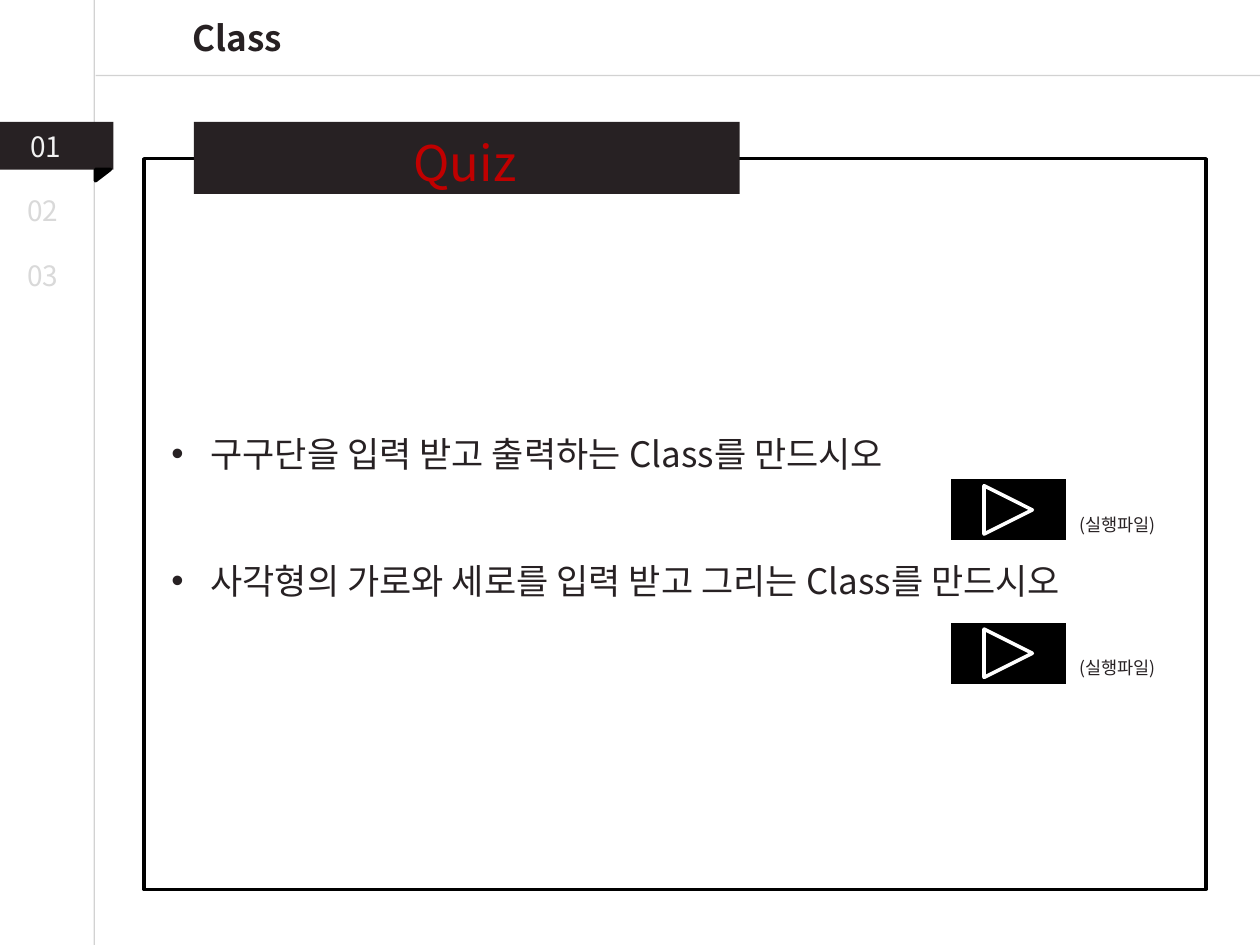
from dataclasses import dataclass

from lxml.etree import SubElement
from pptx import Presentation
from pptx.dml.color import RGBColor
from pptx.enum.shapes import MSO_CONNECTOR, MSO_SHAPE
from pptx.enum.text import MSO_ANCHOR, MSO_AUTO_SIZE, PP_ALIGN
from pptx.oxml.ns import qn
from pptx.util import Cm, Pt

FONT = "Noto Sans CJK KR"
LEADING = 1.28
COLORS = {
    "ink": "272123",
    "black": "000000",
    "white": "FFFFFF",
    "red": "C00000",
    "rule": "A6A6A6",
    "active": "F2F2F2",
    "muted": "D9D9D9",
}


@dataclass
class Area:
    left: float
    top: float
    width: float
    height: float

    def lengths(self) -> tuple:
        return Cm(self.left), Cm(self.top), Cm(self.width), Cm(self.height)


@dataclass
class Style:
    size: float
    color: str
    bold: bool = False
    align: PP_ALIGN = PP_ALIGN.LEFT
    leading: float = LEADING


@dataclass
class Label:
    text: str
    area: Area
    style: Style


def rgb(name: str) -> RGBColor:
    return RGBColor.from_string(COLORS[name])


def place(shape, area: Area) -> None:
    shape.left, shape.top, shape.width, shape.height = area.lengths()


def prepare(frame) -> None:
    frame.word_wrap = True
    frame.auto_size = MSO_AUTO_SIZE.NONE
    frame.vertical_anchor = MSO_ANCHOR.TOP


def write(para, text: str, style: Style) -> None:
    para.alignment = style.align
    para.line_spacing = Pt(style.size * style.leading)
    para.space_before = Pt(0)
    span = para.add_run()
    span.text = text
    font = span.font
    font.name, font.size, font.bold = FONT, Pt(style.size), style.bold
    font.color.rgb = rgb(style.color)
    # East Asian glyphs need their own typeface entry
    SubElement(font._element, qn("a:ea")).set("typeface", FONT)


def add_label(shapes, label: Label) -> None:
    box = shapes.add_textbox(*label.area.lengths())
    prepare(box.text_frame)
    write(box.text_frame.paragraphs[0], label.text, label.style)


def add_block(shapes, kind: MSO_SHAPE, area: Area, fill: str = "", line: str = ""):
    shape = shapes.add_shape(kind, *area.lengths())
    shape.shadow.inherit = False
    if fill:
        shape.fill.solid()
        shape.fill.fore_color.rgb = rgb(fill)
    else:
        shape.fill.background()
    if line:
        shape.line.color.rgb = rgb(line)
        shape.line.width = Pt(2)
    else:
        shape.line.fill.background()
    return shape


def add_rule(shapes, x1: float, y1: float, x2: float, y2: float) -> None:
    rule = shapes.add_connector(MSO_CONNECTOR.STRAIGHT, Cm(x1), Cm(y1), Cm(x2), Cm(y2))
    rule.line.width = Pt(0.75)
    rule.line.color.rgb = rgb("rule")
    properties = rule._element.spPr
    color = properties.find(".//" + qn("a:srgbClr"))
    SubElement(color, qn("a:alpha")).set("val", "50000")
    SubElement(properties, qn("a:effectLst"))


def add_run_button(shapes, top: float) -> None:
    group = shapes.add_group_shape()
    button = Area(19.13, top, 2.39, 1.3)
    add_block(group.shapes, MSO_SHAPE.ACTION_BUTTON_FORWARD_OR_NEXT, button, "black", "white")
    caption = Area(21.51, top + 0.61, 2.18, 0.69)
    add_label(group.shapes, Label("(실행파일)", caption, Style(10, "ink", leading=1.2)))


def main() -> None:
    deck = Presentation()
    deck.slide_width, deck.slide_height = Cm(25.4), Cm(19.05)
    page = deck.slides.add_slide(deck.slide_layouts[1])
    shapes = page.shapes

    # Page rules
    add_rule(shapes, 1.9, 0, 1.9, 19.05)
    add_rule(shapes, 1.93, 1.52, 25.4, 1.52)

    # Quiz frame and banner
    add_block(shapes, MSO_SHAPE.RECTANGLE, Area(2.9, 3.2, 21.41, 14.73), line="black")
    add_block(shapes, MSO_SHAPE.RECTANGLE, Area(3.91, 2.46, 11, 1.45), "ink")
    quiz = Style(28, "red", align=PP_ALIGN.CENTER)
    add_label(shapes, Label("Quiz", Area(2.9, 2.46, 12.95, 1.45), quiz))

    # Title
    title = shapes.title
    place(title, Area(2.06, 0.15, 5.44, 1.12))
    prepare(title.text_frame)
    heading = Style(20, "ink", bold=True, align=PP_ALIGN.CENTER)
    write(title.text_frame.paragraphs[0], "Class", heading)

    # Quiz questions
    body = page.placeholders[1]
    place(body, Area(3.2, 8.53, 20.5, 4.55))
    prepare(body.text_frame)
    questions = (
        "구구단을 입력 받고 출력하는 Class를 만드시오",
        "사각형의 가로와 세로를 입력 받고 그리는 Class를 만드시오",
    )
    for number, question in enumerate(questions):
        para = body.text_frame.add_paragraph() if number else body.text_frame.paragraphs[0]
        write(para, question, Style(20, "ink"))
        para.space_before = Pt(47 * number)
        indent = para._p.get_or_add_pPr()
        indent.set("marL", str(Cm(0.79)))
        indent.set("indent", str(-Cm(0.79)))

    # Run buttons
    for top in (9.63, 12.52):
        add_run_button(shapes, top)

    # Chapter tabs, the first one active
    add_block(shapes, MSO_SHAPE.RECTANGLE, Area(0, 2.46, 2.29, 0.96), "ink")
    fold = add_block(shapes, MSO_SHAPE.RIGHT_TRIANGLE, Area(1.96, 3.38, 0.23, 0.3), "black", "black")
    fold.rotation = 90
    chapters = (
        Label("01", Area(0.36, 2.44, 1.5, 0.94), Style(16, "active")),
        Label("02", Area(0.3, 3.73, 1.24, 0.94), Style(16, "muted")),
        Label("03", Area(0.3, 5.05, 1.24, 0.94), Style(16, "muted")),
    )
    for chapter in chapters:
        add_label(shapes, chapter)

    deck.save("out.pptx")


if __name__ == "__main__":
    main()
